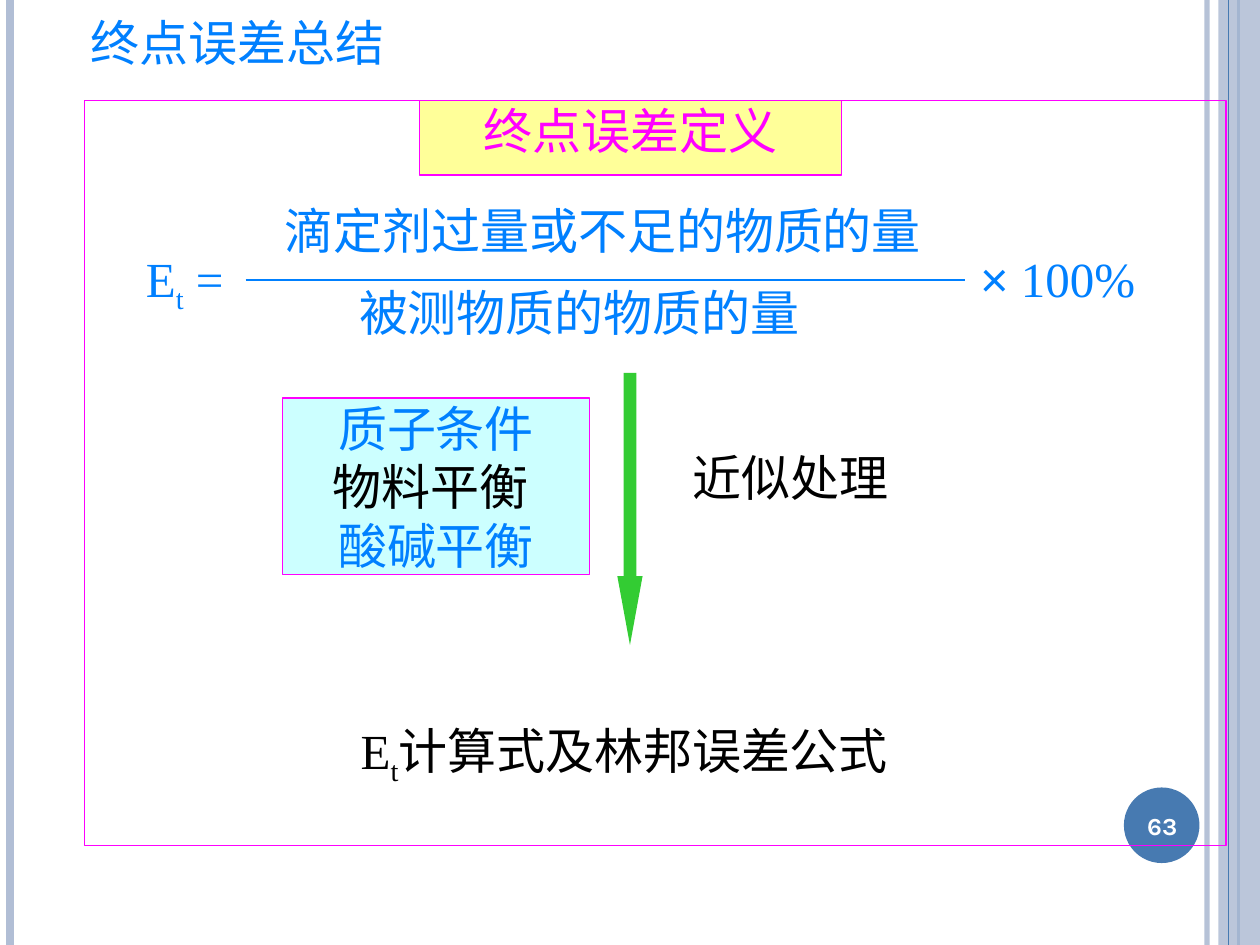
from lxml import etree
from pptx import Presentation
from pptx import util as u
from pptx.dml.color import RGBColor
from pptx.enum import shapes, text
from pptx.oxml.ns import qn

CJK = "Noto Sans CJK SC"
SERIF = "Times New Roman"
SANS = "Karla"
BLUE, BLACK, PINK = "0080FF", "000000", "FF00FF"
PALE, STEEL = "B1BED5", "477AB1"
LEFT, MID = text.PP_ALIGN.LEFT, text.PP_ALIGN.CENTER


def tint(color, hexa, alpha=100):
    """Set a solid fill colour and its opacity in percent."""
    color.solid()
    color.fore_color.rgb = RGBColor.from_string(hexa)
    if alpha < 100:
        node = color._xPr.find(qn("a:solidFill"))[0]
        etree.SubElement(node, qn("a:alpha")).set("val", str(alpha * 1000))


def place(shape, box):
    """Move and size a shape in inches."""
    shape.left, shape.top, shape.width, shape.height = map(u.Inches, box)


def add_run(para, words, font, color, size=28, base=0, bold=False):
    """Add one formatted run to a paragraph."""
    run = para.add_run()
    run.text = words
    run.font.size = u.Pt(size)
    run.font.bold = bold
    run.font.name = font
    run.font.color.rgb = RGBColor.from_string(color)
    props = run._r.get_or_add_rPr()
    etree.SubElement(props, qn("a:ea")).set("typeface", CJK)
    if base:
        props.set("baseline", str(base * 1000))


def write(shape, rows, align=LEFT, pad=(0.1, 0), wrap=True,
          anchor=text.MSO_ANCHOR.TOP):
    """Fill a shape with rows, each a list of run settings."""
    frame = shape.text_frame
    frame.word_wrap = wrap
    frame.auto_size = text.MSO_AUTO_SIZE.NONE
    frame.vertical_anchor = anchor
    frame.margin_left = frame.margin_right = u.Inches(pad[0])
    frame.margin_top = frame.margin_bottom = u.Inches(pad[1])
    for i, row in enumerate(rows):
        para = frame.add_paragraph() if i else frame.paragraphs[0]
        para.alignment = align
        for run in row:
            add_run(para, *run)


def add_text(slide, box, rows, **opts):
    """Add a text box."""
    write(slide.shapes.add_textbox(*map(u.Inches, box)), rows, **opts)


def add_form(slide, kind, box, fill=None, line=None, alpha=100):
    """Add a flat preset shape."""
    form = slide.shapes.add_shape(kind, *map(u.Inches, box))
    form.shadow.inherit = False
    if fill:
        tint(form.fill, fill, alpha)
    else:
        form.fill.background()
    if line:
        tint(form.line.fill, line)
        form.line.width = u.Pt(0.75)
    else:
        form.line.fill.background()
    return form


def add_line(slide, start, end, color, width, alpha=100):
    """Add a straight line without shadow."""
    line = slide.shapes.add_connector(
        shapes.MSO_CONNECTOR.STRAIGHT, *map(u.Inches, start + end))
    tint(line.line.fill, color, alpha)
    line.line.width = u.Pt(width)
    etree.SubElement(line._element.spPr, qn("a:effectLst"))


def add_frame(slide):
    """Draw the side bands and the number disc."""
    rect, disc = shapes.MSO_SHAPE.RECTANGLE, shapes.MSO_SHAPE.OVAL
    for x, color, width, alpha in ((9.58, PALE, 3, 93), (0.08, PALE, 4.5, 100),
                                   (9.83, STEEL, 1.5, 100)):
        add_line(slide, (x, 0), (x, 7.5), color, width, alpha)
    add_form(slide, rect, (9.67, 0, 0.33, 7.5), PALE, alpha=87)
    add_line(slide, (9.75, 0), (9.75, 7.5), STEEL, 0.75)
    add_form(slide, disc, (8.92, 6.25, 0.6, 0.6), STEEL)


def add_title(slide):
    """Place and fill the title."""
    title = slide.shapes.title
    place(title, (0.62, 0.1, 4.58, 0.47))
    write(title, [[("终点误差总结", SERIF, BLUE)]])


def add_steps(slide):
    """Draw the definition, the conditions and the arrow to the result."""
    rect = shapes.MSO_SHAPE.RECTANGLE
    head = add_form(slide, rect, (3.33, 0.8, 3.35, 0.59), "FFFF99", PINK)
    write(head, [[("终点误差定义", SANS, PINK)]], align=MID)
    terms = (("质子条件", BLUE), ("物料平衡 ", BLACK), ("酸碱平衡", BLUE))
    card = add_form(slide, rect, (2.24, 3.16, 2.44, 1.4), "CCFFFF", PINK)
    write(card, [[(term, SANS, color)] for term, color in terms], align=MID)
    add_text(slide, (5.4, 3.55, 1.75, 0.47), [[("近似处理", SANS, BLACK)]],
             wrap=False)
    arrow = add_form(slide, shapes.MSO_SHAPE.DOWN_ARROW,
                     (4.9, 2.96, 0.2, 2.16), "33CC33")
    arrow.adjustments[0], arrow.adjustments[1] = 0.5, 2.73
    add_form(slide, rect, (0.67, 0.8, 9.06, 5.91), line=PINK)
    add_text(slide, (2.14, 5.72, 5.63, 0.53),
             [[("E", SERIF, BLACK), ("t", SERIF, BLACK, 28, -25),
               ("计算式及林邦误差公式", SERIF, BLACK)]], align=MID)


def add_ratio(slide):
    """Write the error formula as a fraction."""
    pad = (0.1, 0.05)
    add_text(slide, (1.06, 1.92, 1.1, 0.63),
             [[("E", SERIF, BLUE), ("t", SERIF, BLUE, 28, -25),
               (" =", SERIF, BLUE)]], pad=pad)
    add_text(slide, (7.68, 1.92, 1.75, 0.57),
             [[("×", "Arial", BLUE), (" 100%", SERIF, BLUE)]], pad=pad)
    add_line(slide, (1.95, 2.22), (7.66, 2.22), BLUE, 1)
    add_text(slide, (2.85, 2.24, 3.5, 0.47),
             [[("被测物质的物质的量", CJK, BLUE)]], pad=(0, 0), wrap=False)
    add_text(slide, (2.26, 1.59, 5.05, 0.47),
             [[("滴定剂过量或", SANS, BLUE), ("不足的物质的量", CJK, BLUE)]],
             pad=(0, 0), wrap=False)


def main():
    """Build and save the slide."""
    deck = Presentation()
    deck.slide_width, deck.slide_height = u.Inches(10), u.Inches(7.5)
    slide = deck.slides.add_slide(deck.slide_layouts[5])
    tint(slide.background.fill, "FFFFFF")
    add_frame(slide)
    add_title(slide)
    add_steps(slide)
    add_ratio(slide)
    add_text(slide, (8.89, 6.27, 0.67, 0.57),
             [[("63", SANS, "FFFFFF", 14, 0, True)]], align=MID,
             pad=(0.1, 0.05), anchor=text.MSO_ANCHOR.MIDDLE)
    deck.save("out.pptx")


if __name__ == "__main__":
    main()
